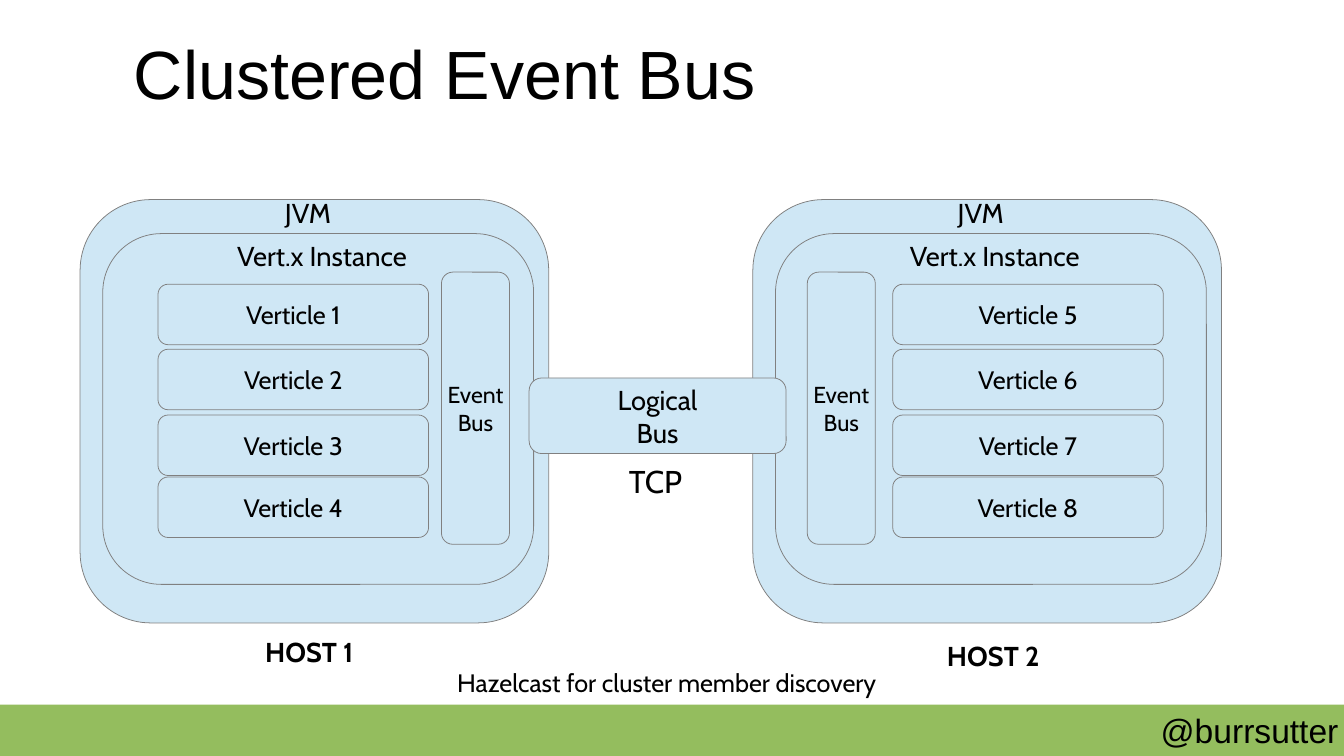
from pptx import Presentation
from pptx import util as u
from pptx.dml.color import RGBColor
from pptx.enum import shapes, text

BLACK = RGBColor(0x00, 0x00, 0x00)
GREEN = RGBColor(0x94, 0xBD, 0x5E)
PALE_BLUE = RGBColor(0xCF, 0xE7, 0xF5)
GRAY = RGBColor(0x80, 0x80, 0x80)

LABEL = {"word_wrap": False, "auto_size": text.MSO_AUTO_SIZE.SHAPE_TO_FIT_TEXT}
BOXED = {"word_wrap": False, "vertical_anchor": text.MSO_ANCHOR.MIDDLE}
HANDLE = {"word_wrap": True, "vertical_anchor": text.MSO_ANCHOR.MIDDLE,
          "margin_left": 0, "margin_top": 0, "margin_right": 0, "margin_bottom": 0}
TITLE = dict(HANDLE, **{f"margin_{side}": u.Inches(0.06)
                        for side in ("left", "top", "right", "bottom")})


def write(holder, words, size, frame_format, align=text.PP_ALIGN.LEFT, face="Cabin", bold=False):
    frame = holder.text_frame
    for attribute, value in frame_format.items():
        setattr(frame, attribute, value)
    frame.text = words
    for paragraph in frame.paragraphs:
        paragraph.alignment = align
        font = paragraph.runs[0].font
        for attribute, value in {"size": u.Pt(size), "name": face, "bold": bold}.items():
            setattr(font, attribute, value)
        font.color.rgb = BLACK


def rounded(left, top, width, height, words="", size=24):
    box = slide.shapes.add_shape(shapes.MSO_SHAPE.ROUNDED_RECTANGLE,
                                 *map(u.Inches, (left, top, width, height)))
    box.adjustments[0] = 0.167
    box.shadow.inherit = False
    box.fill.solid()
    box.fill.fore_color.rgb = PALE_BLUE
    box.line.color.rgb = GRAY
    box.line.width = 0
    if words:
        write(box, words, size, BOXED, text.PP_ALIGN.CENTER)


deck = Presentation()
deck.slide_width = u.Inches(17.78)
deck.slide_height = u.Inches(10)
slide = deck.slides.add_slide(deck.slide_layouts[6])

footer = slide.shapes.add_shape(shapes.MSO_SHAPE.RECTANGLE,
                                *map(u.Inches, (0, 9.32, 17.9, 0.68)))
footer.shadow.inherit = False
footer.fill.solid()
footer.fill.fore_color.rgb = GREEN
footer.line.fill.background()

handle = slide.shapes.add_textbox(*map(u.Inches, (9.95, 9.35, 7.76, 0.61)))
write(handle, "@burrsutter", 32, HANDLE, text.PP_ALIGN.RIGHT, "Arial")
title = slide.shapes.add_textbox(*map(u.Inches, (1.71, 0.14, 15.69, 1.64)))
write(title, "Clustered Event Bus", 65, TITLE, face="Arial")

labels = [
    ("HOST 1", 3.41, 8.36, 1.64, 0.53, 26),
    ("HOST 2", 12.43, 8.4, 1.64, 0.53, 26),
    ("TCP", 8.22, 6.06, 0.96, 0.6, 30),
    ("Hazelcast for cluster member discovery", 5.95, 8.78, 6.37, 0.5, 24),
]

for host_left, verticle_left, bus_left, first_verticle in (
    (1.06, 2.09, 5.84, 1),
    (9.96, 11.81, 10.68, 5),
):
    rounded(host_left, 2.64, 6.2, 5.6)
    rounded(host_left + 0.3, 3.09, 5.7, 4.64)
    for number, top in enumerate((3.76, 4.62, 5.49, 6.31), first_verticle):
        rounded(verticle_left, top, 3.58, 0.8, f"Verticle {number}")
    rounded(bus_left, 3.6, 0.9, 3.6, "Event\nBus", 22)
    labels += [
        ("JVM", host_left + 2.61, 2.55, 0.84, 0.53, 26),
        ("Vert.x Instance", host_left + 1.98, 3.11, 2.73, 0.53, 26),
    ]

rounded(7, 5, 3.4, 1, "Logical\nBus", 26)

for words, left, top, width, height, size in labels:
    label = slide.shapes.add_textbox(*map(u.Inches, (left, top, width, height)))
    write(label, words, size, LABEL, bold=words.startswith("HOST"))

deck.save("out.pptx")
